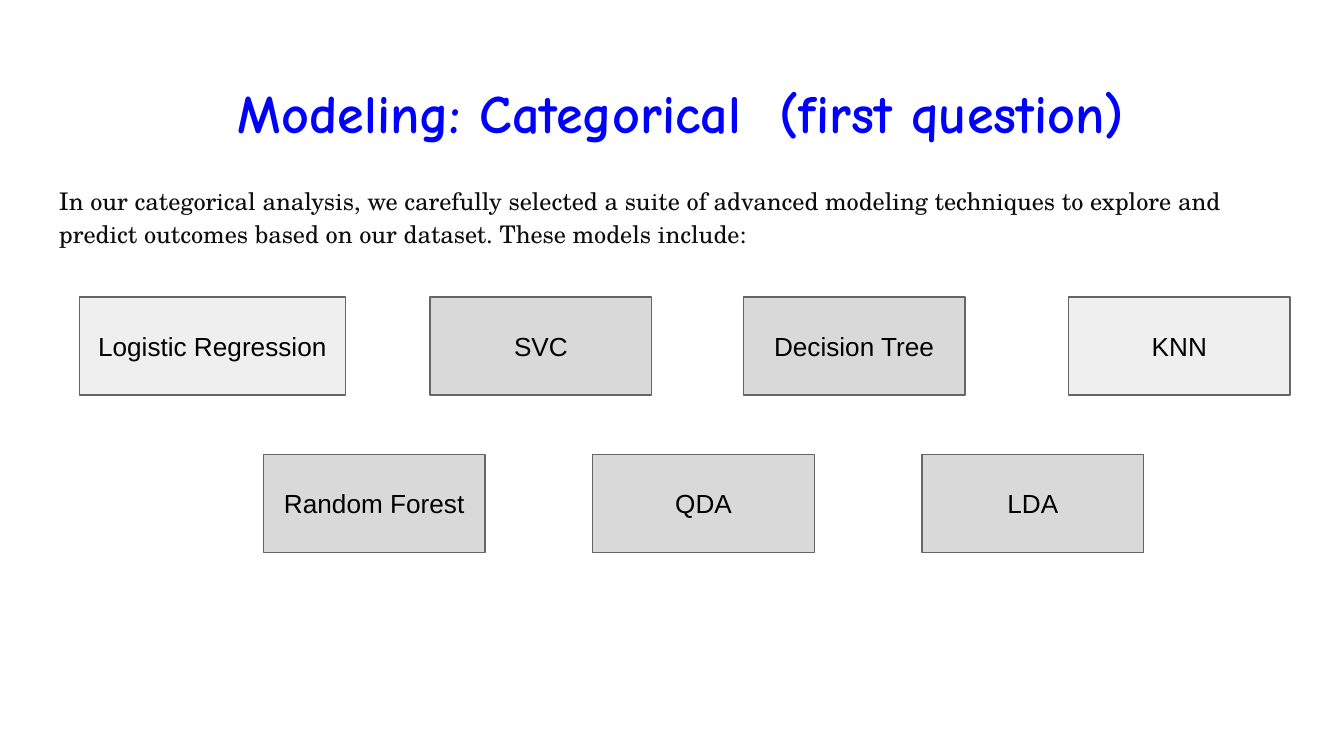
from pptx import Presentation
from pptx.dml.color import RGBColor
from pptx.enum.shapes import MSO_SHAPE
from pptx.enum.text import MSO_ANCHOR, PP_ALIGN
from pptx.util import Inches, Pt

PALE, GREY = "EFEFEF", "D9D9D9"
WIDTH, HEIGHT = 1.65, 0.73


def color(code):
    return RGBColor.from_string(code)


def write(shape, text, size, font, ink, align, bold=False):
    """Fill the shape's text frame with one styled paragraph."""
    frame = shape.text_frame
    frame.word_wrap = True
    frame.margin_left = frame.margin_right = Inches(0.1)
    frame.margin_top = frame.margin_bottom = Inches(0.1)
    para = frame.paragraphs[0]
    para.alignment = align
    run = para.add_run()
    run.text = text
    run.font.size = Pt(size)
    run.font.name = font
    run.font.bold = bold
    run.font.color.rgb = color(ink)
    return para


def add_text(slide, top, height, *style, **more):
    box = slide.shapes.add_textbox(
        Inches(0.34), Inches(top), Inches(9.32), Inches(height))
    return write(box, *style, **more)


def add_model(slide, name, left, top, fill=GREY, width=WIDTH):
    box = slide.shapes.add_shape(
        MSO_SHAPE.RECTANGLE,
        Inches(left), Inches(top), Inches(width), Inches(HEIGHT))
    box.shadow.inherit = False
    box.fill.solid()
    box.fill.fore_color.rgb = color(fill)
    box.line.color.rgb = color("666666")
    box.line.width = Pt(0.75)
    box.text_frame.vertical_anchor = MSO_ANCHOR.MIDDLE
    write(box, name, 14, "Arial", "000000", PP_ALIGN.CENTER)


def main():
    deck = Presentation()
    deck.slide_width = Inches(10)
    deck.slide_height = Inches(10 * 9 / 16)
    slide = deck.slides.add_slide(deck.slide_layouts[6])

    add_text(slide, 0.49, 0.63, " Modeling: Categorical  (first question)",
             29, "Comic Neue", "0000FF", PP_ALIGN.CENTER, bold=True)
    intro = add_text(
        slide, 1.25, 3.74,
        "In our categorical analysis, we carefully selected a suite of "
        "advanced modeling techniques to explore and predict outcomes based "
        "on our dataset. These models include:",
        13, "TeX Gyre Schola", "0D0D0D", PP_ALIGN.LEFT)
    intro.line_spacing = 1.15

    upper, lower = 2.21, 3.38
    add_model(slide, "Logistic Regression", 0.59, upper, PALE, 1.98)
    add_model(slide, "SVC", 3.2, upper)
    add_model(slide, "Decision Tree", 5.53, upper)
    add_model(slide, "KNN", 7.95, upper, PALE)
    for i, name in enumerate(["Random Forest", "QDA", "LDA"]):
        add_model(slide, name, 1.96 + i * 2.45, lower)

    deck.save("out.pptx")


if __name__ == "__main__":
    main()
